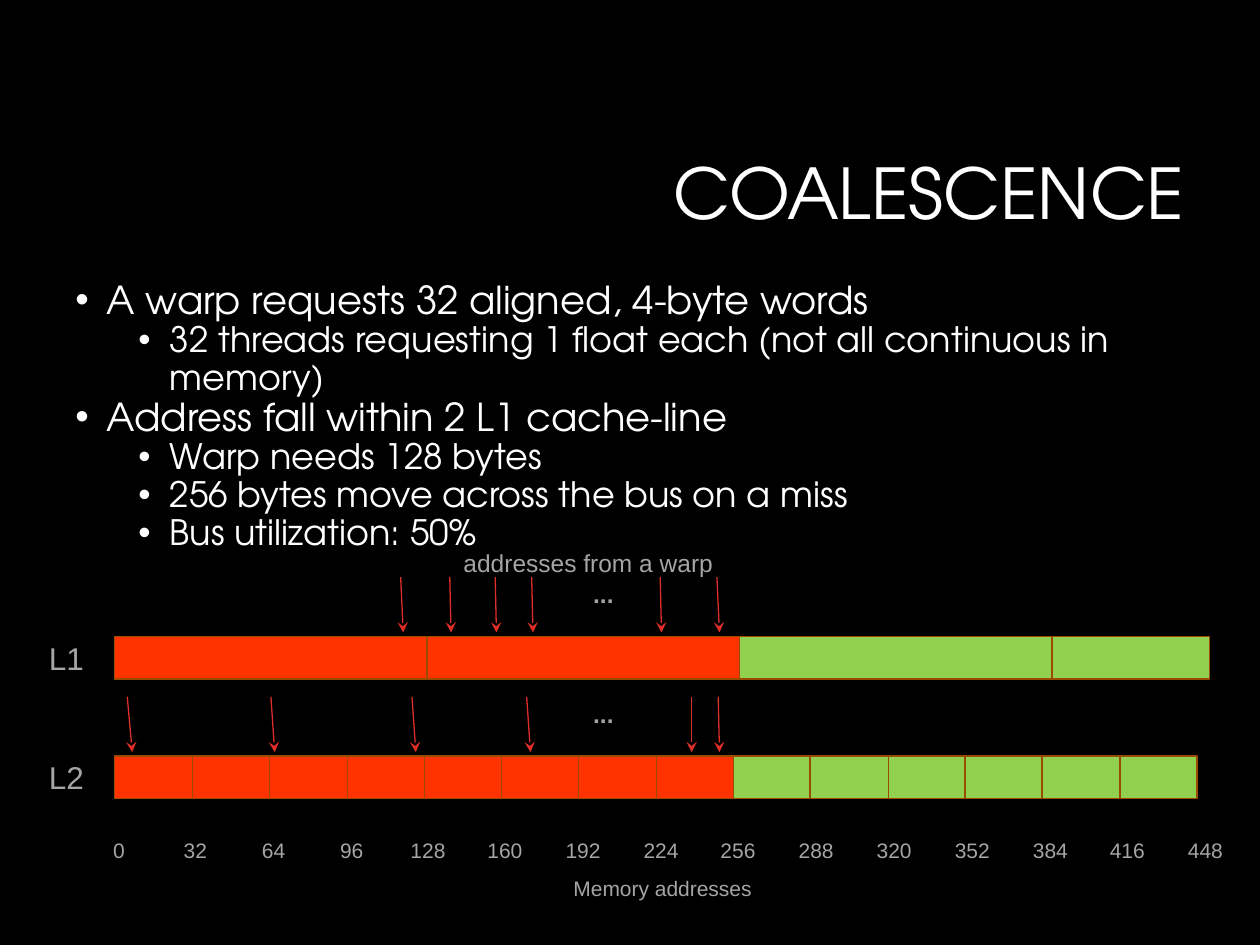
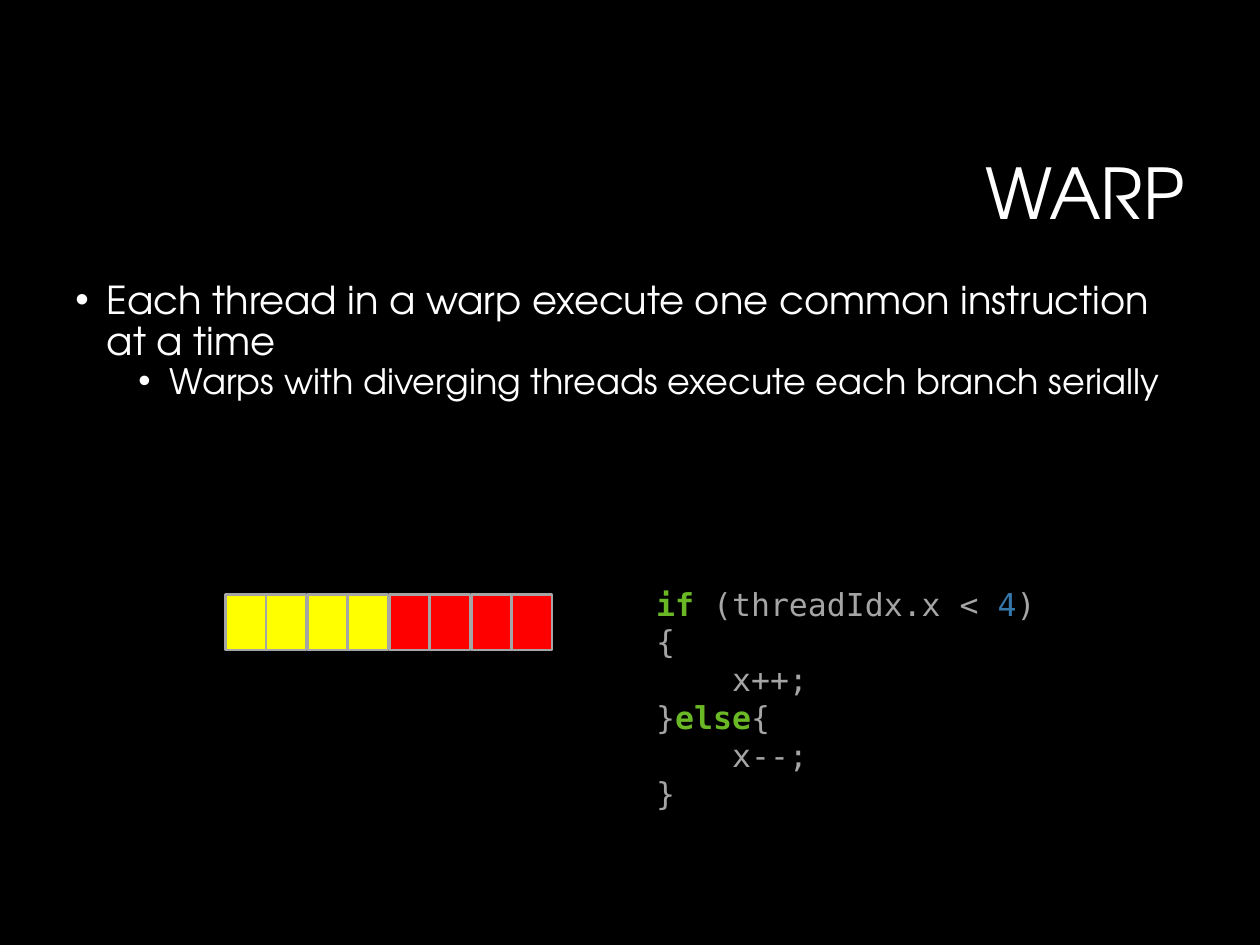
"""Build two slides on memory coalescence and warp divergence."""
from dataclasses import dataclass
from typing import NamedTuple

from lxml import etree
from pptx import Presentation
from pptx.dml.color import RGBColor
from pptx.enum.shapes import MSO_CONNECTOR, MSO_SHAPE
from pptx.enum.text import MSO_ANCHOR, PP_ALIGN
from pptx.oxml.ns import qn
from pptx.slide import Slide
from pptx.util import Emu, Pt

STRAIGHT = MSO_CONNECTOR.STRAIGHT
RECTANGLE = MSO_SHAPE.RECTANGLE
TOP, MIDDLE, BOTTOM = MSO_ANCHOR.TOP, MSO_ANCHOR.MIDDLE, MSO_ANCHOR.BOTTOM
LEFT, CENTER, RIGHT = PP_ALIGN.LEFT, PP_ALIGN.CENTER, PP_ALIGN.RIGHT

BLACK = RGBColor(0x00, 0x00, 0x00)
WHITE = RGBColor(0xFF, 0xFF, 0xFF)
GRAY = RGBColor(0xA5, 0xA5, 0xA5)
ARROW_RED = RGBColor(0xDF, 0x2E, 0x28)
FETCHED = RGBColor(0xFF, 0x33, 0x00)
UNTOUCHED = RGBColor(0x92, 0xD0, 0x50)
CELL_EDGE = RGBColor(0x99, 0x4C, 0x00)
IF_THREAD = RGBColor(0xFF, 0xFF, 0x00)
ELSE_THREAD = RGBColor(0xFF, 0x00, 0x00)
KEYWORD = RGBColor(0x6A, 0xB8, 0x25)
NUMBER = RGBColor(0x36, 0x77, 0xA9)

DISPLAY, SANS, MONO = "TeX Gyre Adventor", "Arial", "DejaVu Sans Mono"
EMU_PER_PX = 9144


class Box(NamedTuple):
    """Left, top, width and height in px."""
    left: int
    top: int
    width: int
    height: int


class Span(NamedTuple):
    """Text with its own colour, weight and size where they differ."""
    text: str
    color: RGBColor | None = None
    bold: bool = False
    size: int | None = None


class Point(NamedTuple):
    """Bulleted statement at an outline level."""
    text: str
    level: int = 0


class Cell(NamedTuple):
    """Left edge and fill of one cell in a strip."""
    left: int
    fill: RGBColor


@dataclass(frozen=True)
class CacheLevel:
    """Cache strip with the addresses that point into it."""
    name: str
    top: int
    cell_width: int
    cells: list[Cell]
    requests: list[tuple[int, int]]


TITLE_BOX = Box(50, 30, 900, 166)
BODY_BOX = Box(50, 213, 900, 505)
POINT_SIZES = (22, 20)

COALESCENCE_POINTS = [
    Point("A warp requests 32 aligned, 4-byte words"),
    Point("32 threads requesting 1 float each (not all continuous in memory)", 1),
    Point("Address fall within 2 L1 cache-line"),
    Point("Warp needs 128 bytes", 1),
    Point("256 bytes move across the bus on a miss", 1),
    Point("Bus utilization: 50%", 1),
]
WARP_POINTS = [
    Point("Each thread in a warp execute one common instruction at a time"),
    Point("Warps with diverging threads execute each branch serially", 1),
]
CACHES = [
    CacheLevel(
        "L1", 505, 248,
        [Cell(712, UNTOUCHED), Cell(339, FETCHED), Cell(91, FETCHED), Cell(587, UNTOUCHED)],
        [(318, 320), (357, 358), (393, 394), (422, 423), (524, 525), (569, 571)],
    ),
    CacheLevel(
        "L2", 600, 62,
        [Cell(91 + round(i * 61.3), FETCHED if i < 8 else UNTOUCHED)
         for i in reversed(range(14))],
        [(101, 105), (215, 218), (327, 330), (418, 421), (549, 549), (570, 571)],
    ),
]
BRANCH_CODE = [
    Span("if ", KEYWORD, True), Span("(threadIdx.x < "), Span("4", NUMBER),
    Span(")\n{\n    x++;\n}"), Span("else", KEYWORD, True), Span("{\n    x--;\n}"),
]


def px(length: float) -> Emu:
    """Convert px to EMU."""
    return Emu(round(length * EMU_PER_PX))


def add_bullet(paragraph, level: int) -> None:
    """Give a paragraph its level, hanging indent and bullet."""
    paragraph.level = level
    properties = paragraph._p.get_or_add_pPr()
    properties.set("marL", str(px(25 + 50 * level)))
    properties.set("indent", str(px(-25)))
    etree.SubElement(properties, qn("a:buFont"), typeface=SANS)
    etree.SubElement(properties, qn("a:buChar"), char="•")


def add_text(slide: Slide, box: Box, content: str | list[Span] | list[Point], *,
             size: int, font: str = SANS, color: RGBColor = GRAY, bold: bool = False,
             align: PP_ALIGN = LEFT, anchor: MSO_ANCHOR = TOP,
             inset: int = 5, spacing: float | None = None) -> None:
    """Add a text box holding a string, one line of spans, or bulleted points."""
    frame = slide.shapes.add_textbox(*map(px, box)).text_frame
    frame.word_wrap = True
    frame.vertical_anchor = anchor
    frame.margin_left = frame.margin_right = px(10)
    frame.margin_top = frame.margin_bottom = px(inset)
    spans = [Span(content, bold=bold)] if isinstance(content, str) else content
    paragraph = frame.paragraphs[0]
    for index, item in enumerate(spans):
        span = item
        if isinstance(item, Point):
            paragraph = frame.add_paragraph() if index else paragraph
            add_bullet(paragraph, item.level)
            span = Span(item.text, size=POINT_SIZES[item.level])
        paragraph.alignment = align
        if spacing:
            paragraph.line_spacing = spacing
        for line_index, line in enumerate(span.text.split("\n")):
            if line_index:
                paragraph.add_line_break()
            run = paragraph.add_run()
            run.text = line
            run.font.name = font
            run.font.size = Pt(span.size or size)
            run.font.bold = span.bold
            run.font.color.rgb = span.color or color


def add_arrow(slide: Slide, start: tuple[int, int], end: tuple[int, int]) -> None:
    """Draw a thin request arrow with a stealth head."""
    arrow = slide.shapes.add_connector(STRAIGHT, *map(px, (*start, *end)))
    arrow.line.color.rgb = ARROW_RED
    arrow.line.width = Pt(0.75)
    properties = arrow._element.spPr
    etree.SubElement(properties.find(qn("a:ln")), qn("a:tailEnd"), type="stealth")
    etree.SubElement(properties, qn("a:effectLst"))


def add_strip(slide: Slide, cells: list[Cell], top: int, width: int, height: int,
              edge: RGBColor, edge_width: float) -> None:
    """Draw a row of outlined cells."""
    for cell in cells:
        block = slide.shapes.add_shape(RECTANGLE, *map(px, (cell.left, top, width, height)))
        block.shadow.inherit = False
        block.fill.solid()
        block.fill.fore_color.rgb = cell.fill
        block.line.color.rgb = edge
        block.line.width = Pt(edge_width)


def add_topic_slide(deck, title: str, points: list[Point]) -> Slide:
    """Add a black slide with its title and bulleted points."""
    slide = deck.slides.add_slide(deck.slide_layouts[6])
    slide.background.fill.solid()
    slide.background.fill.fore_color.rgb = BLACK
    add_text(slide, TITLE_BOX, title, size=40, font=DISPLAY, color=WHITE,
             align=RIGHT, anchor=BOTTOM, inset=10, spacing=0.9)
    add_text(slide, BODY_BOX, points, size=22, font=DISPLAY, color=WHITE,
             inset=10, spacing=0.9)
    return slide


def add_cache(slide: Slide, cache: CacheLevel) -> None:
    """Draw a cache strip, its label and the requests above it."""
    for tail, head in cache.requests:
        add_arrow(slide, (tail, cache.top - 47), (head, cache.top - 3))
    add_text(slide, Box(461, cache.top - 50, 36, 57), "...", size=14, bold=True)
    add_strip(slide, cache.cells, cache.top, cache.cell_width, 34, CELL_EDGE, 0.75)
    add_text(slide, Box(29, cache.top - 8, 51, 50), cache.name, size=18, inset=10)


def add_address_axis(slide: Slide) -> None:
    """Label every 32 bytes below the caches."""
    for step in range(15):
        address = str(32 * step)
        width = 17 + 12 * len(address)
        left = round(95 + 61.75 * step - width / 2)
        add_text(slide, Box(left, 660, width, 30), address, size=12)
    add_text(slide, Box(428, 690, 196, 30), "Memory addresses", size=12, align=CENTER)


def build_coalescence(deck) -> None:
    """Build the slide on cache lines touched by a warp."""
    slide = add_topic_slide(deck, "COALESCENCE", COALESCENCE_POINTS)
    add_text(slide, Box(339, 430, 256, 34), "addresses from a warp", size=14, align=CENTER)
    add_address_axis(slide)
    for cache in CACHES:
        add_cache(slide, cache)


def build_warp(deck) -> None:
    """Build the slide on diverging threads."""
    slide = add_topic_slide(deck, "WARP", WARP_POINTS)
    add_text(slide, Box(511, 453, 328, 202), BRANCH_CODE, size=18, font=MONO,
             anchor=MIDDLE, inset=10)
    threads = [Cell(179 + round(i * 32.43), IF_THREAD if i < 4 else ELSE_THREAD)
               for i in range(8)]
    add_strip(slide, threads, 472, 32, 44, GRAY, 1.5)


def main() -> None:
    """Build and save the deck."""
    deck = Presentation()
    deck.slide_width, deck.slide_height = px(1000), px(750)
    build_coalescence(deck)
    build_warp(deck)
    deck.save("out.pptx")


if __name__ == "__main__":
    main()
